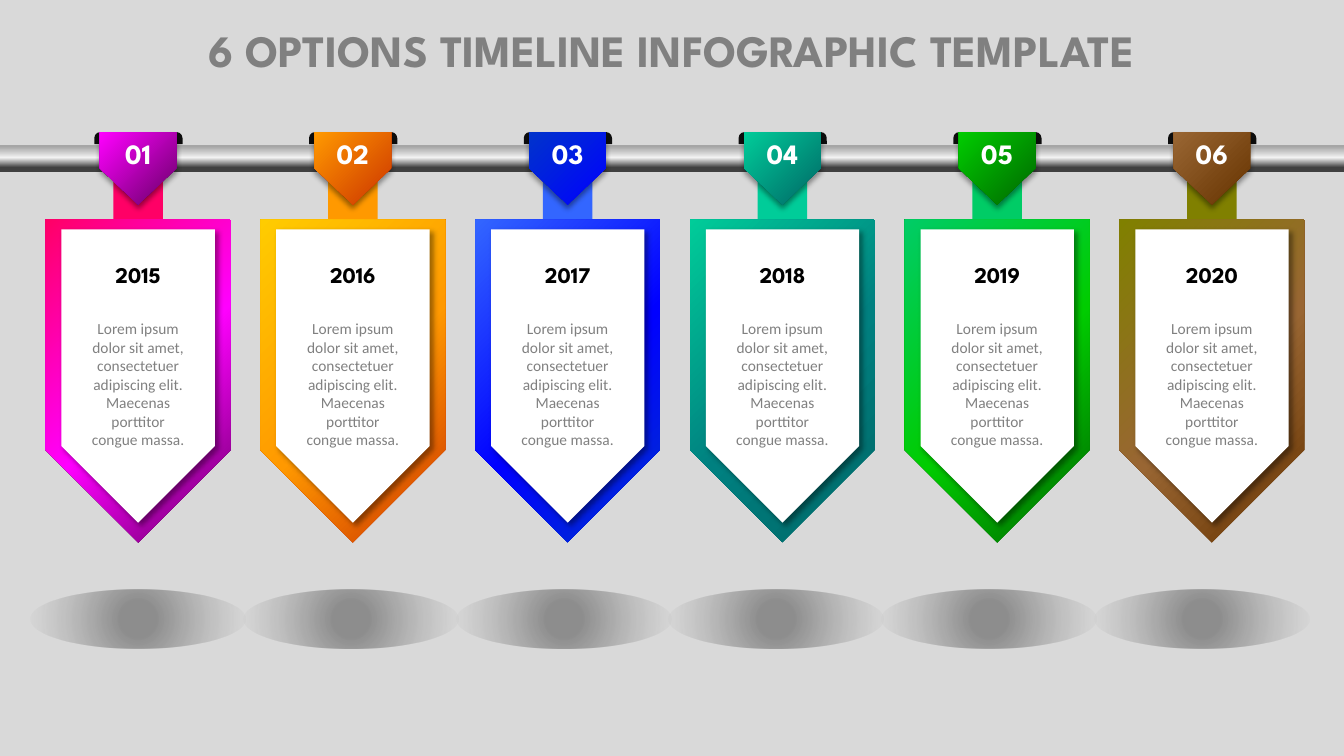
import pptx
import pptx.util
import pptx.oxml
import pptx.oxml.ns
import pptx.dml.color
import pptx.enum.shapes
import pptx.enum.text

Inches = pptx.util.Inches
Kind = pptx.enum.shapes.MSO_SHAPE

COLORS = {
    "background": "D9D9D9", "grey": "808080", "white": "FFFFFF",
    "black": "000000", "clip": "0D0D0D", "haze": "4C4C4C",
    "rod top": "A6A6A6", "rod shine": "F2F2F2", "rod bottom": "404040",
}
HEADING, BODY = "League Spartan", "Calibri"
LOREM = ("Lorem ipsum dolor sit amet, consectetuer adipiscing elit. "
         "Maecenas porttitor congue massa.")

# Number, year, stem, banner gradient (bottom to top), badge gradient
OPTIONS = [
    ("01", "2015", "FF0066", ("660066", "FF00FF", "FF0066"), ("660066", "FF00FF")),
    ("02", "2016", "FF9900", ("CC3300", "FF9900", "FFCC00"), ("CC3300", "FF9900")),
    ("03", "2017", "3366FF", ("0033CC", "0000FF", "3366FF"), ("0000FF", "0033CC")),
    ("04", "2018", "00CC99", ("006666", "008080", "00CC99"), ("006666", "00CC99")),
    ("05", "2019", "00CC66", ("006600", "00CC00", "00CC66"), ("006600", "00CC00")),
    ("06", "2020", "808000", ("663300", "996633", "808000"), ("663300", "996633")),
]
FIRST_CENTER, PITCH, SHADOW_PITCH = 1.37, 2.13, 2.11


def rgb(value):
    return pptx.dml.color.RGBColor.from_string(value)


def write(box, text, size=11, font=BODY, color=COLORS["grey"], bold=False):
    frame = box.text_frame
    frame.word_wrap = True
    frame.auto_size = pptx.enum.text.MSO_AUTO_SIZE.SHAPE_TO_FIT_TEXT
    frame.vertical_anchor = pptx.enum.text.MSO_ANCHOR.TOP
    para = frame.paragraphs[0]
    para.alignment = pptx.enum.text.PP_ALIGN.CENTER
    span = para.add_run()
    span.text = text
    span.font.size = pptx.util.Pt(size)
    span.font.name = font
    span.font.bold = bold
    span.font.color.rgb = rgb(color)


def color_xml(color, alpha=100):
    return f'<a:srgbClr val="{color}"><a:alpha val="{alpha * 1000}"/></a:srgbClr>'


class TimelinePage:
    """The slide and the container that new elements go into."""

    def __init__(self, deck):
        self.page = deck.slides.add_slide(deck.slide_layouts[5])
        self.shapes = self.page.shapes
        fill = self.page.background.fill
        fill.solid()
        fill.fore_color.rgb = rgb(COLORS["background"])

    def title(self, text):
        box = self.page.shapes.title
        box.left, box.top = Inches(0), Inches(0.18)
        box.width, box.height = Inches(13.33), Inches(0.64)
        write(box, text, size=32, font=HEADING, bold=True)

    def start_group(self):
        self.shapes = self.page.shapes.add_group_shape().shapes

    def end_group(self):
        self.shapes = self.page.shapes

    def shape(self, kind, center, middle, width, height, fill=None, turn=0):
        shape = self.shapes.add_shape(
            kind, Inches(center - width / 2), Inches(middle - height / 2),
            Inches(width), Inches(height))
        shape.rotation = turn
        shape.shadow.inherit = False
        shape.line.fill.background()
        if fill:
            shape.fill.solid()
            shape.fill.fore_color.rgb = rgb(fill)
        return shape

    def gradient(self, shape, stops, angle=None):
        """Stops are (percent, color, opacity); no angle means radial."""
        marks = "".join(f'<a:gs pos="{at * 1000}">{color_xml(color, alpha)}</a:gs>'
                        for at, color, alpha in stops)
        if angle is None:
            way = ('<a:path path="circle"><a:fillToRect l="50000" t="50000" '
                   'r="50000" b="50000"/></a:path>')
        else:
            way = f'<a:lin ang="{angle * 60000}" scaled="0"/>'
        shape.fill.background()
        properties = shape._element.spPr
        blank = properties.find(pptx.oxml.ns.qn("a:noFill"))
        properties.replace(blank, pptx.oxml.parse_xml(
            f'<a:gradFill {pptx.oxml.ns.nsdecls("a")} rotWithShape="1">'
            f'<a:gsLst>{marks}</a:gsLst>{way}</a:gradFill>'))

    def drop_shadow(self, shape, angle):
        effects = shape._element.spPr.find(pptx.oxml.ns.qn("a:effectLst"))
        effects.append(pptx.oxml.parse_xml(
            f'<a:outerShdw {pptx.oxml.ns.nsdecls("a")} blurRad="{pptx.util.Pt(4)}" '
            f'dist="{pptx.util.Pt(3)}" dir="{angle * 60000}" algn="ctr" '
            f'rotWithShape="0">{color_xml(COLORS["black"], 40)}</a:outerShdw>'))

    def text(self, text, center, top, width, height, **style):
        box = self.shapes.add_textbox(Inches(center - width / 2), Inches(top),
                                      Inches(width), Inches(height))
        write(box, text, **style)

    def option(self, center, number, year, stem, banner_colors, badge_colors):
        self.start_group()
        # Clips behind the rod
        for offset, width in ((0.33, 0.22), (-0.26, 0.35)):
            clip = self.shape(Kind.ROUND_2_SAME_RECTANGLE, center + offset, 1.37,
                              width, 0.12, COLORS["clip"])
            clip.adjustments[0] = 0.5
        # Stem and banner
        self.shape(Kind.RECTANGLE, center, 2, 0.8, 0.49, stem, turn=90)
        banner = self.shape(Kind.PENTAGON, center, 3.78, 3.2, 1.83, turn=90)
        self.gradient(banner, [(at, color, 100) for at, color
                               in zip((0, 47, 100), banner_colors)], 135)
        card = self.shape(Kind.PENTAGON, center, 3.73, 2.91, 1.52,
                          COLORS["white"], turn=90)
        self.drop_shadow(card, 45)
        # Number badge
        badge = self.shape(Kind.PENTAGON, center, 1.67, 0.72, 0.76, turn=90)
        self.gradient(badge, [(at, color, 100) for at, color
                              in zip((0, 100), badge_colors)], 135)
        self.drop_shadow(badge, 90)
        # Wording
        self.text(number, center, 1.31, 0.86, 0.44, size=20, font=HEADING,
                  color=COLORS["white"], bold=True)
        self.text(year, center, 2.54, 1.52, 0.37, size=16, font=HEADING,
                  color=COLORS["black"], bold=True)
        self.text(LOREM, center, 3.12, 1.18, 1.4)
        self.end_group()


def main():
    deck = pptx.Presentation()
    deck.slide_width, deck.slide_height = Inches(13.33), Inches(7.5)
    timeline = TimelinePage(deck)
    timeline.title("6 OPTIONS TIMELINE INFOGRAPHIC TEMPLATE")

    # Metal rod
    rod = timeline.shape(Kind.RECTANGLE, 13.33 / 2, 1.57, 13.33, 0.27)
    timeline.gradient(rod, [(7, COLORS["rod top"], 100),
                            (48, COLORS["rod shine"], 100),
                            (84, COLORS["rod bottom"], 100)], 90)

    # Hanging banners
    for index, option in enumerate(OPTIONS):
        timeline.option(FIRST_CENTER + index * PITCH, *option)

    # Soft shadows on the floor
    for index in range(len(OPTIONS)):
        floor = timeline.shape(Kind.OVAL, FIRST_CENTER + index * SHADOW_PITCH,
                               6.14, 2.13, 0.58)
        timeline.gradient(floor, [(15, COLORS["black"], 35),
                                  (100, COLORS["haze"], 0)])

    deck.save("out.pptx")


if __name__ == "__main__":
    main()
